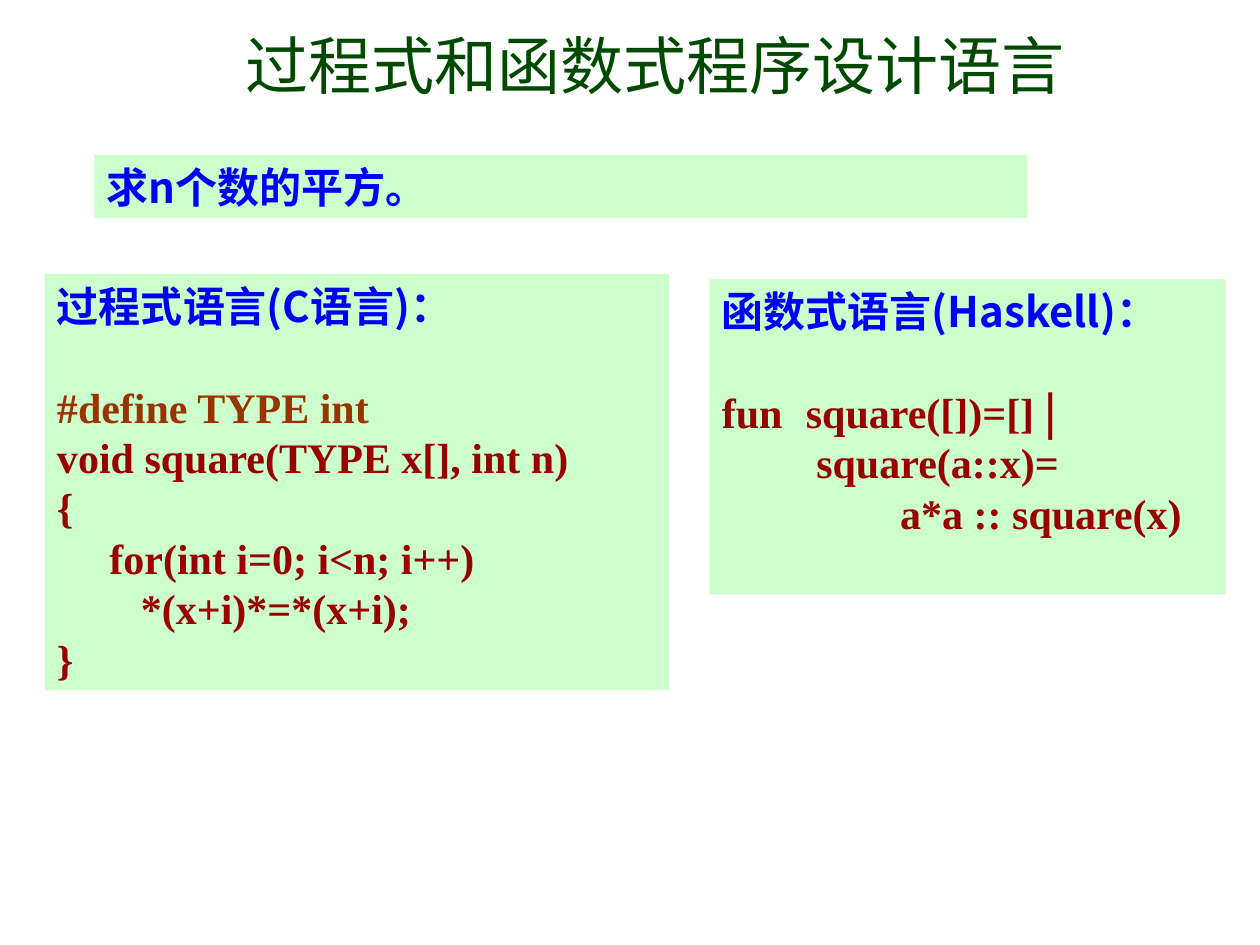
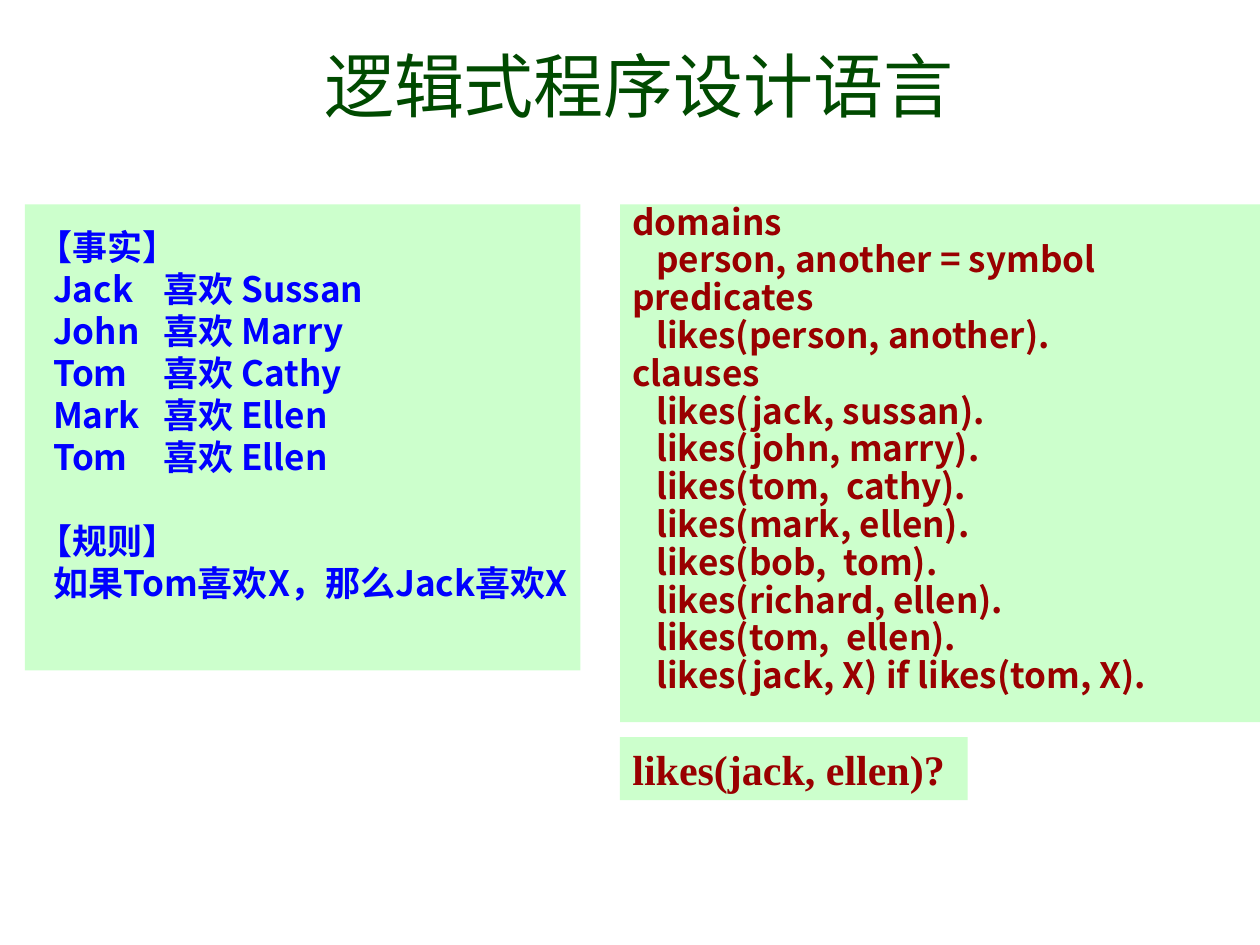
from pptx import Presentation
from pptx.dml.color import RGBColor
from pptx.enum.shapes import MSO_SHAPE
from pptx.enum.text import MSO_ANCHOR, MSO_AUTO_SIZE, PP_ALIGN
from pptx.oxml.ns import qn
from pptx.util import Pt
from lxml import etree

# Shared look
TITLE_FONT, TEXT_FONT, CODE_FONT = "Noto Sans CJK KR", "Noto Sans CJK SC", "Times New Roman"
TITLE_GREEN, PANEL_GREEN = "004A00", "CCFFCC"
BLUE, DEEP_BLUE, RED, BROWN = "0000FF", "0000F4", "990000", "993300"
LINE_HEIGHT = 1.2
INSET = 7.2

# Paragraph styles: font, colour
HEADING = (TEXT_FONT, BLUE)
DEEP_HEADING = (TEXT_FONT, DEEP_BLUE)
CODE = (CODE_FONT, RED)
DIRECTIVE = (CODE_FONT, BROWN)
CLAUSE = (TEXT_FONT, RED)

# Content: each panel has a box (left, top, width, height), a size and lines.
# A line is (text, style, options).
GAP = {"gap": True}
INDENT = {"indent": 9}
FACT = {"indent": 9, "tab": 67}

SQUARE_C = [
    ("过程式语言(C语言)：", DEEP_HEADING, {}),
    ("#define TYPE int", DIRECTIVE, GAP),
    ("void square(TYPE x[], int n)", CODE, {}),
    ("{", CODE, {}),
    ("     for(int i=0; i<n; i++)", CODE, {}),
    ("        *(x+i)*=*(x+i);", CODE, {}),
    ("}", CODE, {}),
]
SQUARE_HASKELL = [
    ("函数式语言(Haskell)：", HEADING, {}),
    ("fun\t  square([])=[] ", CODE, {"gap": True, "tab": 42.5, "tail": "|"}),
    ("         square(a::x)=", CODE, {}),
    ("                 a*a :: square(x)", CODE, {}),
]
LIKES = [("Jack", "Sussan"), ("John", "Marry"), ("Tom", "Cathy"),
         ("Mark", "Ellen"), ("Tom", "Ellen")]
FACTS = [
    ("【事实】", HEADING, {}),
    *[(f"{who}\t喜欢 {whom}", HEADING, FACT) for who, whom in LIKES],
    ("【规则】", HEADING, GAP),
    ("如果Tom喜欢X，那么Jack喜欢X", HEADING, INDENT),
]
PROGRAM = """domains
   person, another = symbol
predicates
   likes(person, another).
clauses
   likes(jack, sussan).
   likes(john, marry).
   likes(tom,  cathy).
   likes(mark, ellen).
   likes(bob,  tom).
   likes(richard, ellen).
   likes(tom,  ellen).
   likes(jack, X) if likes(tom, X)."""

SLIDES = [
    {"title": "过程式和函数式程序设计语言", "title_size": 36,
     "title_box": (133.2, 8, 503.3, 57.6),
     "panels": [
         {"box": (54, 88.5, 532.8, 36), "size": 24,
          "lines": [("求n个数的平方。", HEADING, {})]},
         {"box": (25.5, 156.7, 357, 237.6), "size": 24, "lines": SQUARE_C},
         {"box": (405.4, 159.7, 295, 180), "size": 24, "lines": SQUARE_HASKELL},
     ]},
    {"title": "逻辑式程序设计语言", "title_size": 40,
     "title_box": (178, 12.2, 437, 72),
     "panels": [
         {"box": (14.2, 116.8, 317.5, 266.4), "size": 20, "top": 12, "lines": FACTS},
         {"box": (354.3, 116.8, 365.7, 295.9), "size": 20, "top": 0, "spacing": 0.9,
          "lines": [(line, CLAUSE, {}) for line in PROGRAM.split("\n")]},
         {"box": (354.3, 421.2, 198.7, 36), "size": 24,
          "lines": [("likes(jack, ellen)?", CODE, {})]},
     ]},
]


def rgb(value):
    return RGBColor.from_string(value)


def format_run(run, font, size, colour, bold):
    run.font.size = Pt(size)
    run.font.bold = bold
    run.font.color.rgb = rgb(colour)
    run.font.name = font
    etree.SubElement(run.font._element, qn("a:ea"), typeface=font)


def set_indent_and_tab(paragraph, indent=0, tab=None):
    properties = paragraph._p.get_or_add_pPr()
    properties.set("marL", "0")
    properties.set("indent", str(Pt(indent)))
    if tab:
        tabs = etree.SubElement(properties, qn("a:tabLst"))
        etree.SubElement(tabs, qn("a:tab"), pos=str(Pt(tab)), algn="l")


def add_title(slide, text, size, box):
    title = slide.shapes.title
    title.left, title.top, title.width, title.height = map(Pt, box)
    frame = title.text_frame
    frame.text = text
    frame.auto_size = MSO_AUTO_SIZE.NONE
    frame.vertical_anchor = MSO_ANCHOR.MIDDLE
    frame.paragraphs[0].alignment = PP_ALIGN.LEFT
    format_run(frame.paragraphs[0].runs[0], TITLE_FONT, size, TITLE_GREEN, False)


def add_panel(slide, box, size, lines, top=3.6, spacing=1):
    panel = slide.shapes.add_shape(MSO_SHAPE.RECTANGLE, *map(Pt, box))
    panel.shadow.inherit = False
    panel.fill.solid()
    panel.fill.fore_color.rgb = rgb(PANEL_GREEN)
    panel.line.fill.background()

    frame = panel.text_frame
    frame.word_wrap = True
    frame.vertical_anchor = MSO_ANCHOR.TOP
    frame.margin_left = frame.margin_right = Pt(INSET)
    frame.margin_top, frame.margin_bottom = Pt(top), Pt(3.6)

    line_height = size * LINE_HEIGHT * spacing
    for index, (text, (font, colour), options) in enumerate(lines):
        paragraph = frame.add_paragraph() if index else frame.paragraphs[0]
        paragraph.text = text
        set_indent_and_tab(paragraph, options.get("indent", 0), options.get("tab"))
        paragraph.alignment = PP_ALIGN.LEFT
        paragraph.line_spacing = Pt(line_height)
        if options.get("gap"):
            paragraph.space_before = Pt(line_height)
        format_run(paragraph.runs[0], font, size, colour, True)
        if "tail" in options:
            tail = paragraph.add_run()
            tail.text = options["tail"]
            format_run(tail, TITLE_FONT, size, colour, True)


def main():
    deck = Presentation()
    deck.slide_width, deck.slide_height = Pt(720), Pt(540)
    title_only = deck.slide_layouts[5]
    for content in SLIDES:
        slide = deck.slides.add_slide(title_only)
        add_title(slide, content["title"], content["title_size"], content["title_box"])
        for panel in content["panels"]:
            add_panel(slide, **panel)
    deck.save("out.pptx")


if __name__ == "__main__":
    main()
